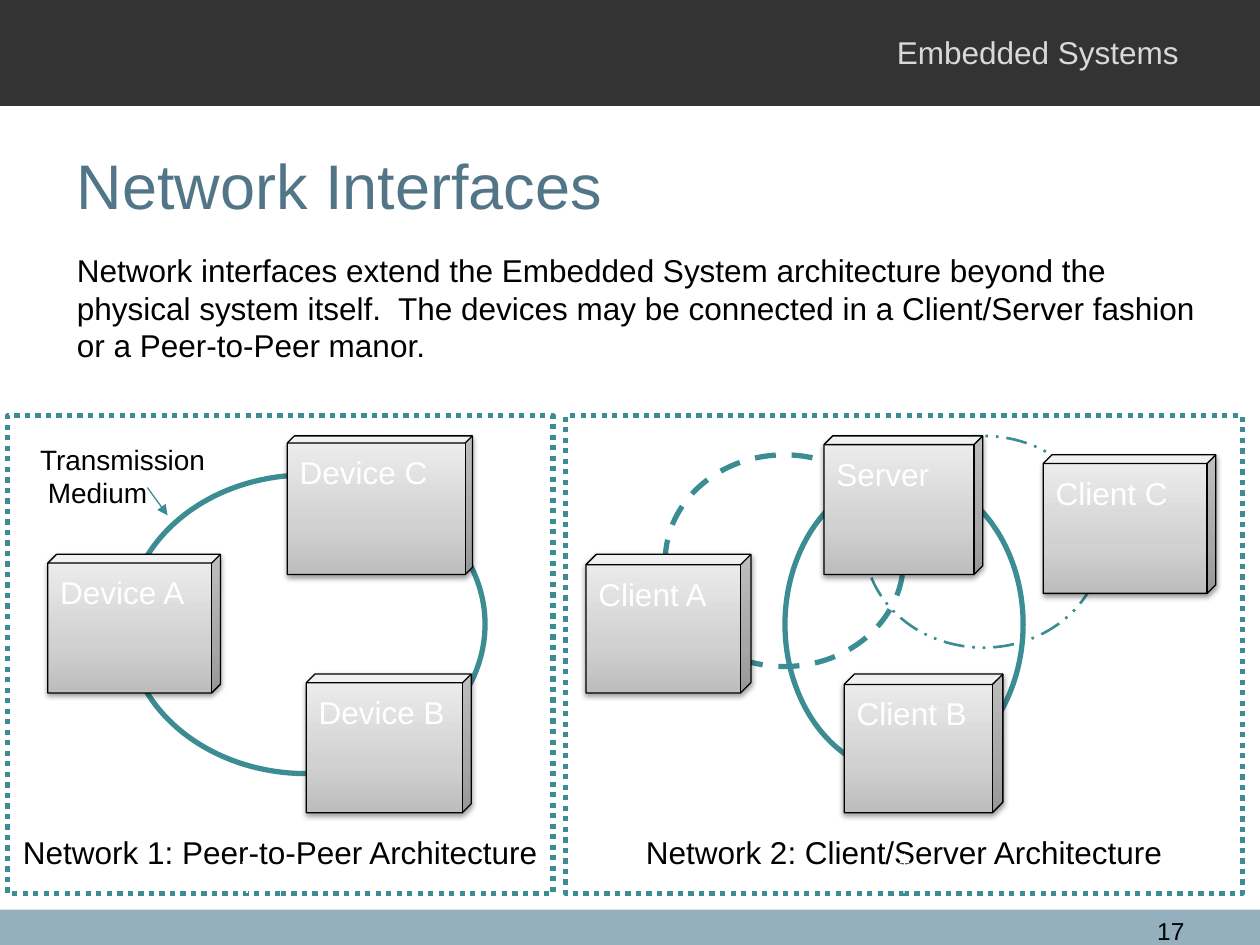
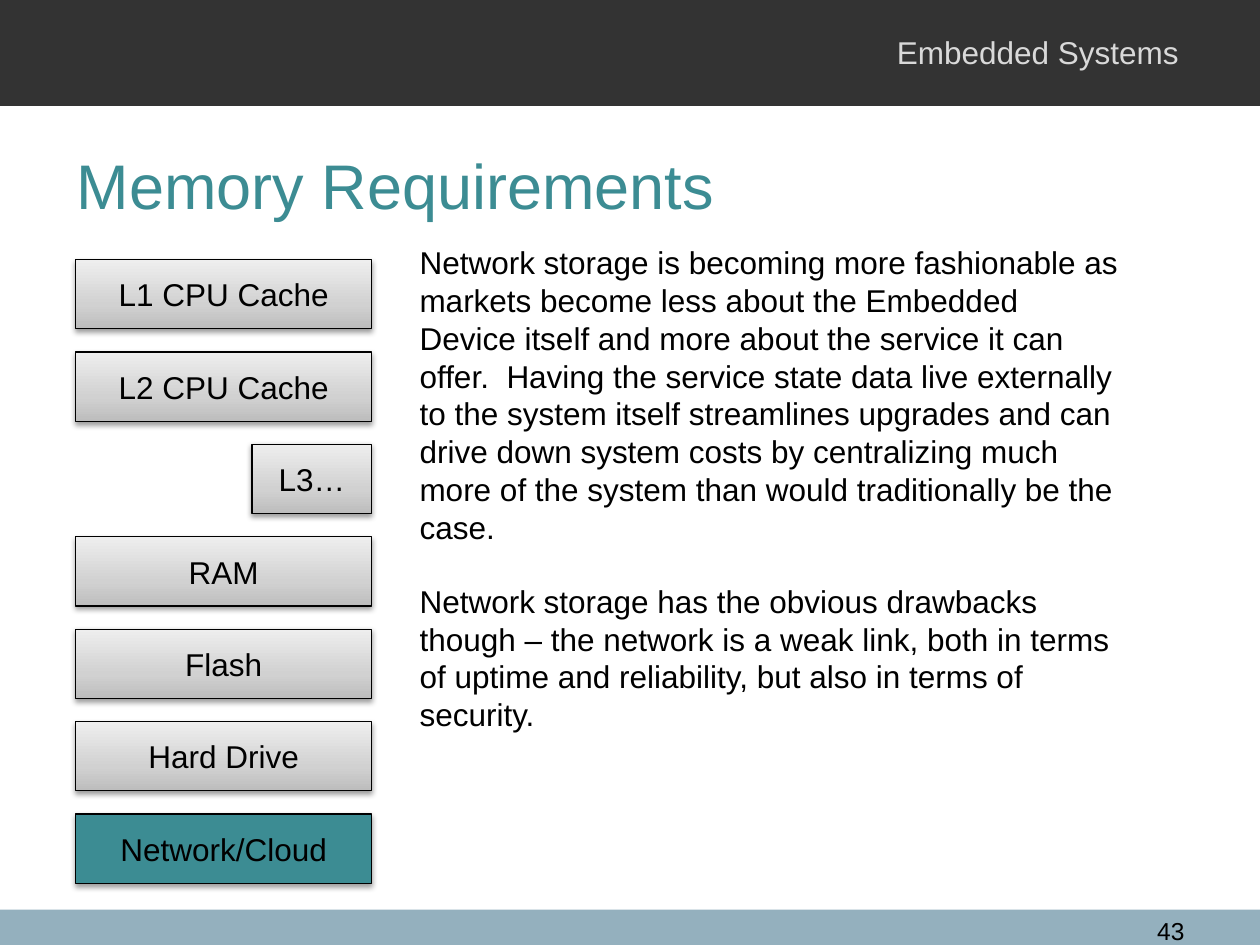
"""Build two slides on embedded systems: network interfaces and memory requirements."""
from lxml import etree
from pptx import Presentation
from pptx.dml.color import RGBColor
from pptx.enum.dml import MSO_LINE
from pptx.enum.shapes import MSO_CONNECTOR, MSO_SHAPE
from pptx.enum.text import MSO_ANCHOR, MSO_AUTO_SIZE, PP_ALIGN
from pptx.oxml.ns import qn
from pptx.util import Inches, Pt

RECT, CUBE, OVAL = MSO_SHAPE.RECTANGLE, MSO_SHAPE.CUBE, MSO_SHAPE.OVAL
STRAIGHT = MSO_CONNECTOR.STRAIGHT
DOTS, DASH, DASH_DOTS = MSO_LINE.ROUND_DOT, MSO_LINE.DASH, MSO_LINE.DASH_DOT_DOT
LEFT, CENTER, RIGHT = PP_ALIGN.LEFT, PP_ALIGN.CENTER, PP_ALIGN.RIGHT
TOP, MIDDLE, BOTTOM = MSO_ANCHOR.TOP, MSO_ANCHOR.MIDDLE, MSO_ANCHOR.BOTTOM
NO_AUTOFIT = MSO_AUTO_SIZE.NONE

FONT = "Arial"
BLACK, WHITE = "000000", "FFFFFF"
TEAL, SLATE = "3C8C93", "527688"
HEADER, FOOTER, HEADER_TEXT = "333333", "94B0BE", "D9D9D9"
GREY_STOPS = [(0, "BDBDBD"), (35, "D1D1D1"), (100, "EEEEEE")]


def rgb(color):
    return RGBColor.from_string(color)


def place(sp, left, top, width, height):
    sp.left, sp.top = Inches(left), Inches(top)
    sp.width, sp.height = Inches(width), Inches(height)


def write(sp, *paragraphs, size=18, color=BLACK, align=LEFT, anchor=TOP, gap=0):
    tf = sp.text_frame
    tf.word_wrap = True
    tf.auto_size = NO_AUTOFIT
    tf.vertical_anchor = anchor
    for i, text in enumerate(paragraphs):
        p = tf.add_paragraph() if i else tf.paragraphs[0]
        p.alignment = align
        p.space_before = Pt(gap if i else 0)
        r = p.add_run()
        r.text = text
        r.font.name, r.font.size = FONT, Pt(size)
        r.font.color.rgb = rgb(color)


def add_text(slide, box, text, **fmt):
    sp = slide.shapes.add_textbox(*map(Inches, box))
    write(sp, text, **fmt)


def add_box(slide, kind, box, fill=None, line=None, width=0.75, dash=None):
    sp = slide.shapes.add_shape(kind, *map(Inches, box))
    sp.shadow.inherit = False
    if fill:
        sp.fill.solid()
        sp.fill.fore_color.rgb = rgb(fill)
    else:
        sp.fill.background()
    if line:
        sp.line.color.rgb = rgb(line)
        sp.line.width = Pt(width)
        if dash:
            sp.line.dash_style = dash
    else:
        sp.line.fill.background()
    return sp


def add_color(parent, color):
    return etree.SubElement(parent, qn("a:srgbClr"), val=color)


def shade_grey(sp):
    sp.fill.gradient()
    sp.fill.gradient_angle = 90
    stops = sp._element.spPr.find(qn("a:gradFill")).find(qn("a:gsLst"))
    for stop in list(stops):
        stops.remove(stop)
    for position, color in GREY_STOPS:
        add_color(etree.SubElement(stops, qn("a:gs"), pos=str(position * 1000)), color)


def drop_shadow(sp):
    effects = sp._element.spPr.find(qn("a:effectLst"))
    shadow = etree.SubElement(effects, qn("a:outerShdw"), blurRad="40000",
                              dist="20000", dir="5400000", rotWithShape="0")
    etree.SubElement(add_color(shadow, BLACK), qn("a:alpha"), val="38000")


def add_block(slide, kind, box, fill=None):
    sp = add_box(slide, kind, box, fill, BLACK)
    if not fill:
        shade_grey(sp)
    drop_shadow(sp)
    return sp


def add_device(slide, name, left, top, width, depth):
    sp = add_block(slide, CUBE, (left, top, width, 1.1))
    sp.adjustments[0] = depth
    sp.text_frame.margin_top = Inches(0.08)
    write(sp, name, color=WHITE)


def add_panel(slide, left, width, caption):
    sp = add_box(slide, RECT, (left, 3.3, width, 3.79), WHITE, TEAL, 3, DOTS)
    sp.text_frame.margin_bottom = Inches(0.18)
    write(sp, caption, align=CENTER, anchor=BOTTOM)
    return sp


def add_arrow(slide, start, end, color):
    arrow = slide.shapes.add_connector(STRAIGHT, *map(Inches, start + end))
    arrow.line.color.rgb = rgb(color)
    arrow.line.width = Pt(0.75)
    etree.SubElement(arrow.line._get_or_add_ln(), qn("a:tailEnd"), type="triangle")
    etree.SubElement(arrow._element.spPr, qn("a:effectLst"))
    return arrow


def add_slide(prs, title, title_color, number, body_box, *paragraphs):
    slide = prs.slides.add_slide(prs.slide_layouts[1])
    add_box(slide, RECT, (0, 7.22, 10, 0.28), FOOTER)
    add_box(slide, RECT, (0, 0, 10, 0.84), HEADER)
    add_text(slide, (7.02, 0.21, 2.5, 0.4), "Embedded Systems", color=HEADER_TEXT)
    add_text(slide, (8.86, 7.22, 0.64, 0.24), number, size=14, align=RIGHT)
    place(slide.shapes.title, 0.51, 0.84, 9, 1.25)
    write(slide.shapes.title, title, size=36, color=title_color, anchor=MIDDLE)
    body = slide.placeholders[1]
    place(body, *body_box)
    write(body, *paragraphs, gap=20.7)
    for p in body.text_frame.paragraphs:
        pPr = p._p.get_or_add_pPr()
        pPr.set("marL", "0")
        pPr.set("indent", "0")
        etree.SubElement(pPr, qn("a:buNone"))
    return slide


def build_network_slide(prs):
    slide = add_slide(
        prs, "Network Interfaces", SLATE, "17", (0.51, 1.94, 9.14, 1.01),
        "Network interfaces extend the Embedded System architecture beyond the "
        "physical system itself.  The devices may be connected in a Client/Server "
        "fashion or a Peer-to-Peer manor.")

    server_panel = add_panel(slide, 4.49, 5.37, "Network 2: Client/Server Architecture")
    add_panel(slide, 0.06, 4.33, "Network 1: Peer-to-Peer Architecture")

    add_box(slide, OVAL, (6.86, 3.46, 1.89, 1.68), WHITE, TEAL, 1.5, DASH_DOTS)
    add_box(slide, OVAL, (5.28, 3.61, 1.89, 1.68), None, TEAL, 3, DASH)
    add_box(slide, OVAL, (6.23, 3.77, 1.89, 2.37), None, TEAL, 3)
    add_box(slide, OVAL, (1.01, 3.77, 2.84, 2.37), WHITE, TEAL, 3)
    for device in [
        ("Client A", 4.65, 4.4, 1.31, 0.075),
        ("Client B", 6.7, 5.35, 1.26, 0.075),
        ("Server", 6.54, 3.46, 1.26, 0.063),
        ("Client C", 8.28, 3.61, 1.37, 0.063),
        ("Device A", 0.38, 4.4, 1.37, 0.063),
        ("Device B", 2.43, 5.35, 1.31, 0.063),
        ("Device C", 2.28, 3.46, 1.47, 0.052),
    ]:
        add_device(slide, *device)

    add_text(slide, (0.22, 3.46, 1.53, 0.41), "Transmission  Medium", size=16)
    add_arrow(slide, (1.17, 3.87), (1.33, 4.09), TEAL)
    add_arrow(slide, (1.96, 7.09), (1.96, 6.77), WHITE)
    server_arrow = add_arrow(slide, (7.18, 7.09), (7.18, 6.77), WHITE)
    server_arrow.begin_connect(server_panel, 2)


def build_memory_slide(prs):
    slide = add_slide(
        prs, "Memory Requirements", TEAL, "43", (3.23, 1.88, 5.78, 3.74),
        "Network storage is becoming more fashionable as markets become less about "
        "the Embedded Device itself and more about the service it can offer.  Having "
        "the service state data live externally to the system itself streamlines "
        "upgrades and can drive down system costs by centralizing much more of the "
        "system than would traditionally be the case.",
        "Network storage has the obvious drawbacks though – the network is a weak "
        "link, both in terms of uptime and reliability, but also in terms of security.")

    right, first_top, step = 2.95, 2.06, 4.4 / 6
    levels = ["L1 CPU Cache", "L2 CPU Cache", "L3…", "RAM", "Flash",
              "Hard Drive", "Network/Cloud"]
    for i, level in enumerate(levels):
        width = 0.95 if level == "L3…" else 2.35
        fill = TEAL if level == "Network/Cloud" else None
        sp = add_block(slide, RECT, (right - width, first_top + i * step, width, 0.55), fill)
        write(sp, level, align=CENTER, anchor=MIDDLE)


def main():
    prs = Presentation()
    prs.slide_width, prs.slide_height = Inches(10), Inches(7.5)
    build_network_slide(prs)
    build_memory_slide(prs)
    prs.save("out.pptx")


if __name__ == "__main__":
    main()
